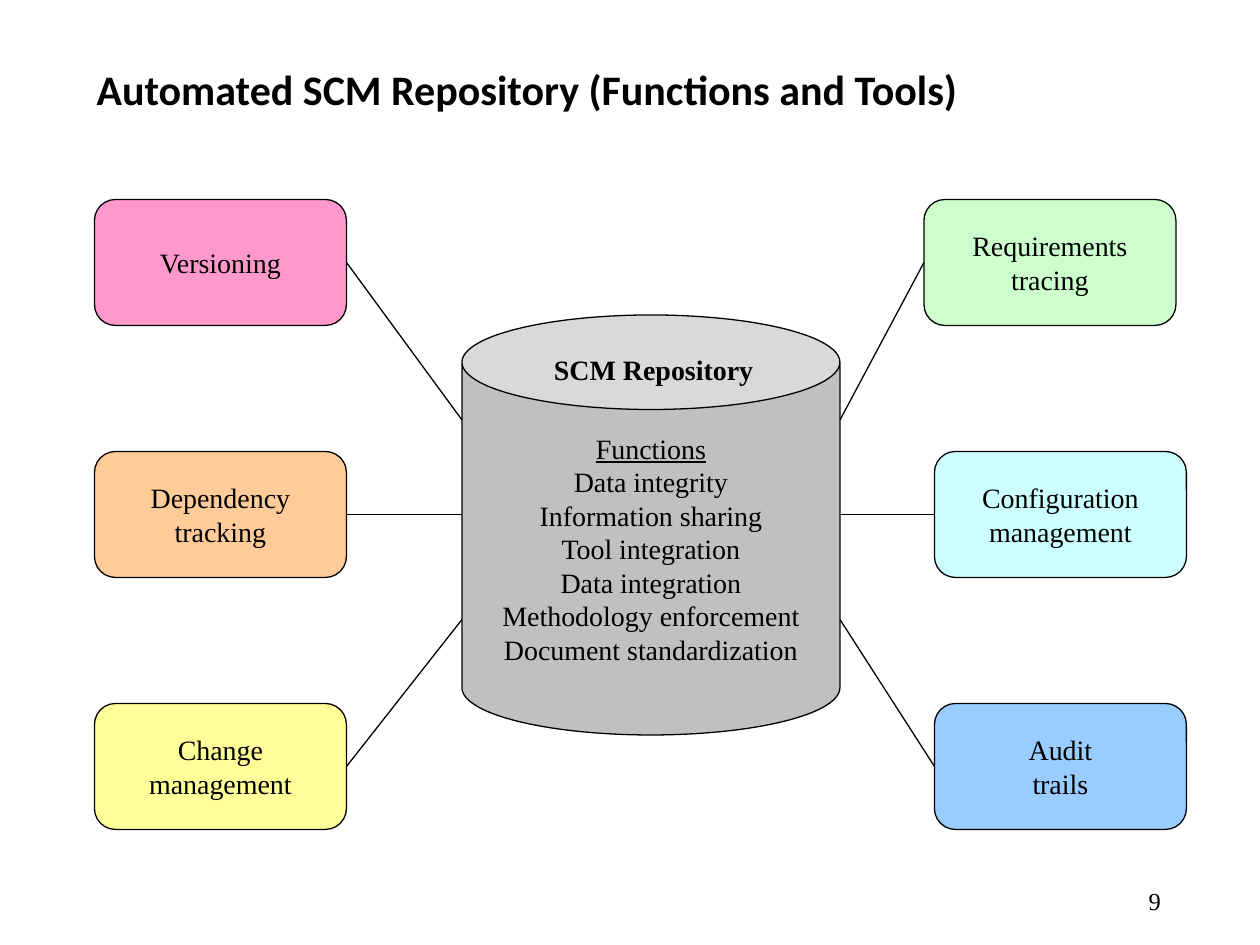
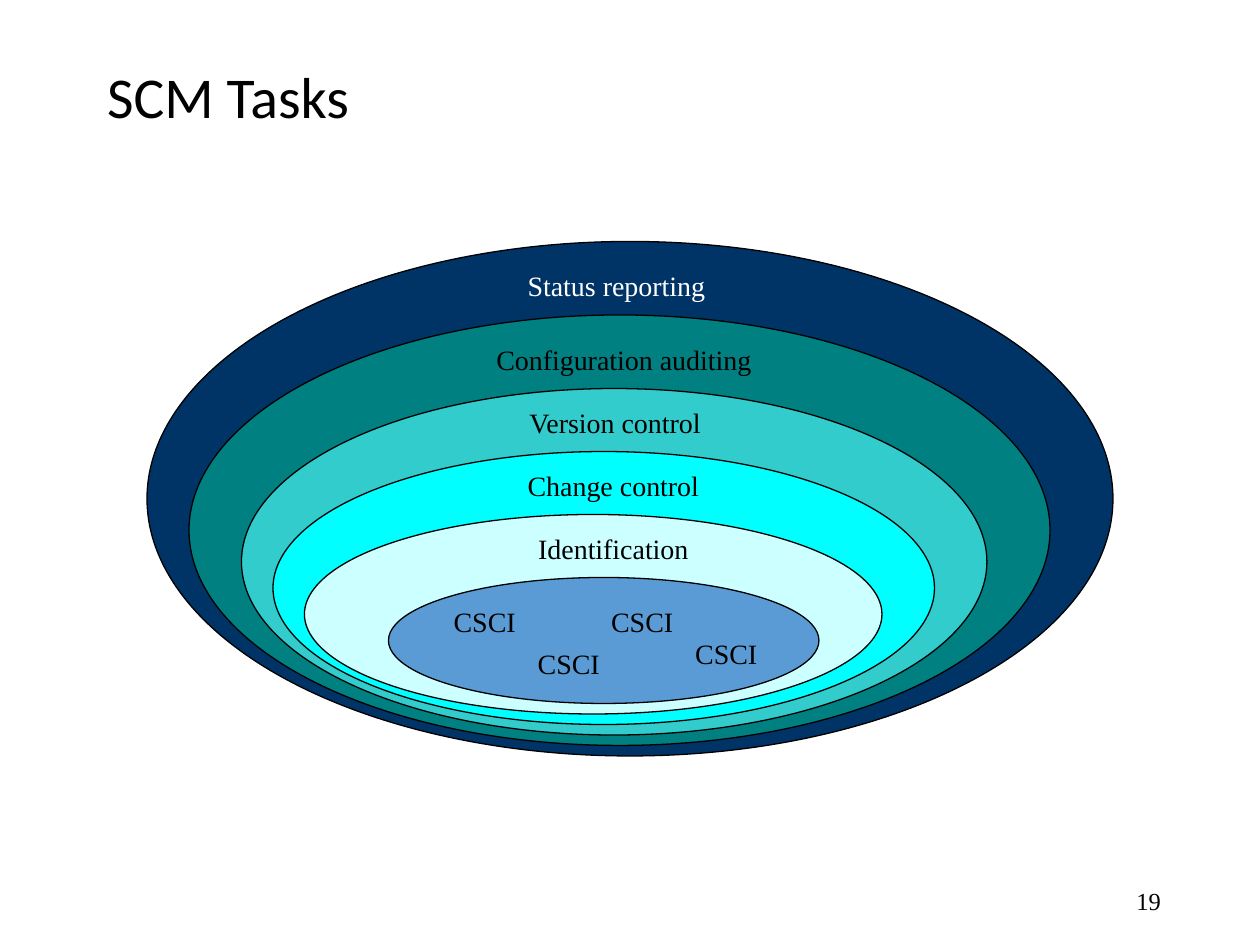
from pptx import Presentation
from pptx.dml.color import RGBColor
from pptx.enum.shapes import MSO_CONNECTOR, MSO_SHAPE
from pptx.enum.text import MSO_ANCHOR, MSO_AUTO_SIZE, PP_ALIGN
from pptx.oxml.ns import qn
from pptx.util import Pt
from lxml import etree

COLORS = {
    "black": "000000", "white": "FFFFFF", "silver": "C0C0C0",
    "pink": "FF99CC", "orange": "FFCC99", "yellow": "FFFF99",
    "green": "CCFFCC", "pale_cyan": "CCFFFF", "sky": "99CCFF",
    "navy": "003366", "teal": "008080", "turquoise": "33CCCC",
    "cyan": "00FFFF", "blue": "5B9BD5",
}
TITLE_FONT = "Calibri"
BODY_FONT = "Times New Roman"
LINE_WIDTH = 0.75

TOOL_TOP, TOOL_STEP, TOOL_W, TOOL_H = 114, 144, 144, 72
CAN_LEFT, CAN_TOP, CAN_W, CAN_H = 264, 180, 216, 240
JOINT_YS = [240, 294, 354]
LEFT_TOOLS = [
    ("Versioning", "pink", 54),
    ("Dependency\ntracking", "orange", 54),
    ("Change\nmanagement", "yellow", 54),
]
RIGHT_TOOLS = [
    ("Requirements\ntracing", "green", 528),
    ("Configuration\nmanagement", "pale_cyan", 534),
    ("Audit\ntrails", "sky", 534),
]
FUNCTIONS = [
    "Functions", "Data integrity", "Information sharing", "Tool integration",
    "Data integration", "Methodology enforcement", "Document standardization",
]

RING_BOTTOM, RING_STEP = 432, 6
RINGS = [
    (84, 138, 552, "navy"),
    (108, 180, 492, "teal"),
    (138, 222, 426, "turquoise"),
    (156, 258, 378, "cyan"),
    (174, 294, 330, "pale_cyan"),
    (222, 330, 246, "blue"),
]
RING_LABELS = [
    ("Status reporting", 352.25, 150, 124, "white"),
    ("Configuration auditing", 356.5, 192, 170, "black"),
    ("Version control", 351.5, 228, 122, "black"),
    ("Change control", 350.5, 264, 122, "black"),
    ("Identification", 350.5, 300, 110, "black"),
]
ITEM_SPOTS = [(277, 342), (325, 366), (367, 342), (415, 360)]


def rgb(name):
    return RGBColor.from_string(COLORS[name])


def style_text(tf, size=16, color="black", font=BODY_FONT, bold=False, align=PP_ALIGN.CENTER):
    for p in tf.paragraphs:
        p.alignment = align
        p.font.name = font
        p.font.size = Pt(size)
        p.font.bold = bold
        p.font.color.rgb = rgb(color)


def add_titled_slide(prs, title, box, size, number, bold=False):
    slide = prs.slides.add_slide(prs.slide_layouts[5])
    sp = slide.shapes.title
    sp.left, sp.top, sp.width, sp.height = map(Pt, box)
    tf = sp.text_frame
    tf.text = title
    tf.auto_size = MSO_AUTO_SIZE.NONE
    tf.vertical_anchor = MSO_ANCHOR.MIDDLE
    tf.paragraphs[0].line_spacing = 0.9
    style_text(tf, size, font=TITLE_FONT, bold=bold, align=PP_ALIGN.LEFT)

    tf = slide.shapes.add_textbox(Pt(508.5), Pt(500), Pt(162), Pt(29)).text_frame
    tf.text = number
    tf.word_wrap = True
    tf.vertical_anchor = MSO_ANCHOR.MIDDLE
    style_text(tf, 14, align=PP_ALIGN.RIGHT)
    return slide


def add_outlined(shapes, kind, box, fill, text=""):
    sp = shapes.add_shape(kind, *map(Pt, box))
    sp.shadow.inherit = False
    sp.fill.solid()
    sp.fill.fore_color.rgb = rgb(fill)
    sp.line.color.rgb = rgb("black")
    sp.line.width = Pt(LINE_WIDTH)
    if text:
        tf = sp.text_frame
        tf.text = text
        tf.word_wrap = False
        tf.vertical_anchor = MSO_ANCHOR.MIDDLE
        style_text(tf)
    return sp


def add_label(shapes, text, center, top, width, color="black", bold=False):
    left = center - width / 2
    tf = shapes.add_textbox(Pt(left), Pt(top), Pt(width), Pt(26.5)).text_frame
    tf.text = text
    tf.word_wrap = False
    tf.auto_size = MSO_AUTO_SIZE.SHAPE_TO_FIT_TEXT
    style_text(tf, color=color, bold=bold)


def add_link(shapes, x1, y1, x2, y2):
    line = shapes.add_connector(MSO_CONNECTOR.STRAIGHT, Pt(x1), Pt(y1), Pt(x2), Pt(y2))
    line.line.color.rgb = rgb("black")
    line.line.width = Pt(LINE_WIDTH)
    etree.SubElement(line._element.spPr, qn("a:effectLst"))


def add_tools(shapes, tools, tool_edge, can_edge):
    for i, (text, fill, left) in enumerate(tools):
        top = TOOL_TOP + i * TOOL_STEP
        add_outlined(shapes, MSO_SHAPE.ROUNDED_RECTANGLE, (left, top, TOOL_W, TOOL_H), fill, text)
        add_link(shapes, left + tool_edge, top + TOOL_H / 2, can_edge, JOINT_YS[i])


def build_repository(prs):
    title = "Automated SCM Repository (Functions and Tools)"
    shapes = add_titled_slide(prs, title, (48, 27.5, 612, 50), 24, "9", bold=True).shapes
    can = add_outlined(shapes, MSO_SHAPE.CAN, (CAN_LEFT, CAN_TOP, CAN_W, CAN_H),
                       "silver", "\n".join(FUNCTIONS))
    can.text_frame.paragraphs[0].font.underline = True
    add_label(shapes, "SCM Repository", 373.5, 198, 140, bold=True)
    add_tools(shapes, LEFT_TOOLS, TOOL_W, CAN_LEFT)
    add_tools(shapes, RIGHT_TOOLS, 0, CAN_LEFT + CAN_W)


def build_tasks(prs):
    slide = add_titled_slide(prs, "SCM Tasks", (54, 12, 612, 90), 33, "19")
    shapes = slide.shapes.add_group_shape().shapes
    for i, (left, top, width, fill) in enumerate(RINGS):
        height = RING_BOTTOM - i * RING_STEP - top
        add_outlined(shapes, MSO_SHAPE.OVAL, (left, top, width, height), fill)
    for label in RING_LABELS:
        add_label(shapes, *label)
    for center, top in ITEM_SPOTS:
        add_label(shapes, "CSCI", center, top, 56)


def main():
    prs = Presentation()
    prs.slide_width, prs.slide_height = Pt(720), Pt(540)
    build_repository(prs)
    build_tasks(prs)
    prs.save("out.pptx")


if __name__ == "__main__":
    main()
